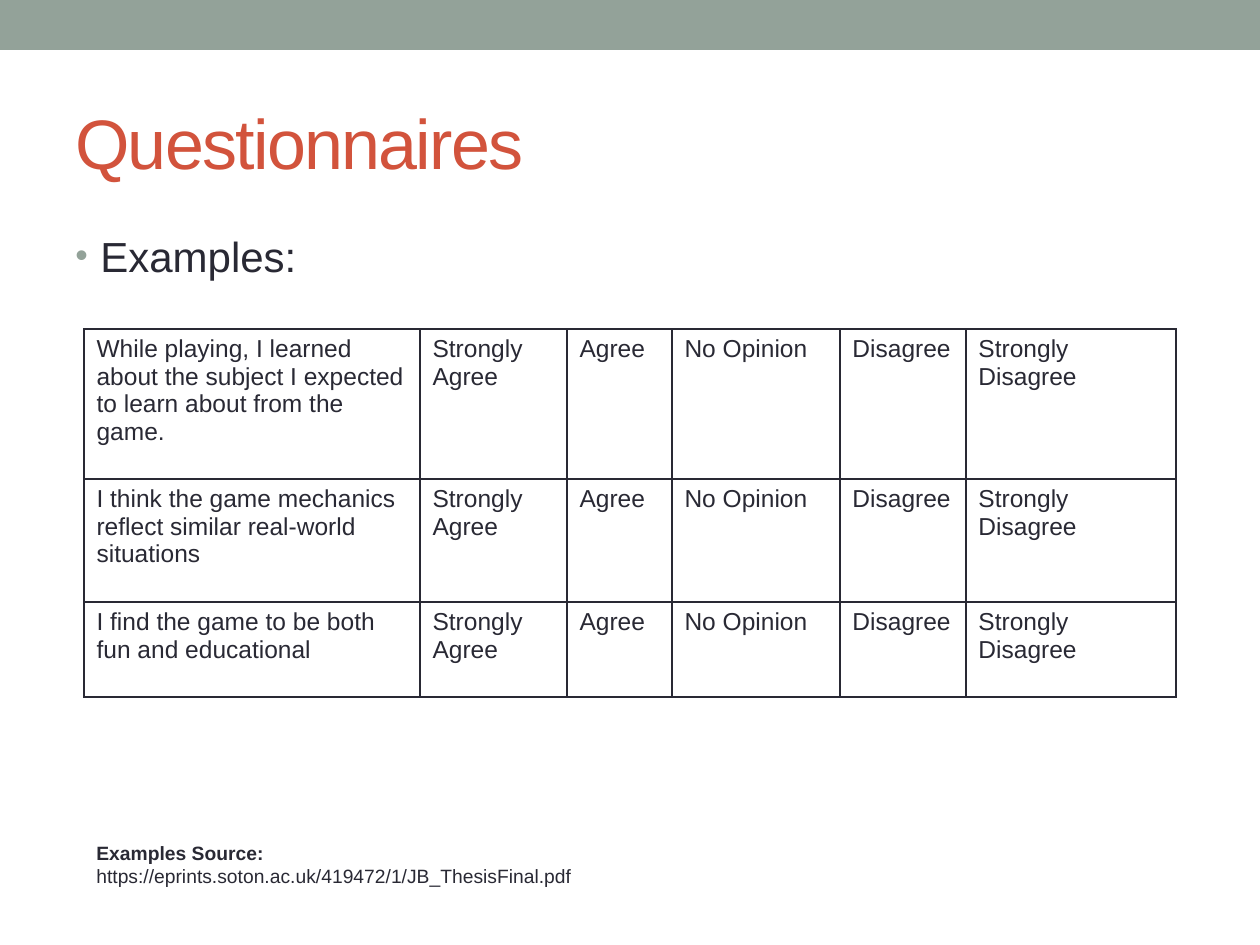
"""Build the Questionnaires slide with its table of example statements."""
from typing import NamedTuple

from lxml import etree
from pptx import Presentation
from pptx import util as u
from pptx.dml.color import RGBColor
from pptx.enum import shapes, text
from pptx.oxml import ns

EMU_PER_PX = 914400 / 126
FONT = "Arial"
SAGE = RGBColor(0x93, 0xA2, 0x99)
RUST = RGBColor(0xD2, 0x53, 0x3C)
INK = RGBColor(0x29, 0x29, 0x34)
WHITE = RGBColor(0xFF, 0xFF, 0xFF)

ANSWERS = ("Strongly Agree", "Agree", "No Opinion", "Disagree", "Strongly Disagree")
COLUMN_WIDTHS = (336, 147, 105, 168, 126, 210)


class Area(NamedTuple):
    left: int
    top: int
    width: int
    height: int


class Statement(NamedTuple):
    wording: str
    height: int


STATEMENTS = (
    Statement("While playing, I learned about the subject I expected to learn "
              "about from the game.", 150),
    Statement("I think the game mechanics reflect similar real-world situations", 123),
    Statement("I find the game to be both fun and educational", 95),
)


def px(length: int) -> int:
    return u.Emu(round(length * EMU_PER_PX))


def place(area: Area) -> list[int]:
    return [px(length) for length in area]


def style(para, size: int, color: RGBColor, bold: bool = False) -> None:
    for span in para.runs:
        span.font.name = FONT
        span.font.size = u.Pt(size)
        span.font.color.rgb = color
        span.font.bold = bold


def add_text(page, area: Area, wording: str, size: int, color: RGBColor):
    box = page.shapes.add_textbox(*place(area))
    frame = box.text_frame
    frame.word_wrap = True
    frame.text = wording
    for para in frame.paragraphs:
        style(para, size, color)
    return frame


def add_bullet(para, indent: int) -> None:
    properties = para._p.get_or_add_pPr()
    properties.set("marL", str(px(indent)))
    properties.set("indent", str(-px(indent)))
    color = etree.SubElement(properties, ns.qn("a:buClr"))
    etree.SubElement(color, ns.qn("a:srgbClr"), val=str(SAGE))
    etree.SubElement(properties, ns.qn("a:buSzPct"), val="85000")
    etree.SubElement(properties, ns.qn("a:buFont"), typeface=FONT)
    etree.SubElement(properties, ns.qn("a:buChar"), char="•")


def add_borders(cell) -> None:
    properties = cell._tc.get_or_add_tcPr()
    for position, side in enumerate(("lnL", "lnR", "lnT", "lnB")):
        line = etree.Element(ns.qn(f"a:{side}"), w=str(u.Pt(1)))
        fill = etree.SubElement(line, ns.qn("a:solidFill"))
        etree.SubElement(fill, ns.qn("a:srgbClr"), val=str(INK))
        properties.insert(position, line)


def add_survey(page, left: int, top: int) -> None:
    height = sum(statement.height for statement in STATEMENTS)
    area = Area(left, top, sum(COLUMN_WIDTHS), height)
    table = page.shapes.add_table(
        len(STATEMENTS), len(COLUMN_WIDTHS), *place(area)).table
    table.first_row = table.horz_banding = False
    for column, width in zip(table.columns, COLUMN_WIDTHS):
        column.width = px(width)
    for row, statement in zip(table.rows, STATEMENTS):
        row.height = px(statement.height)
        for cell, wording in zip(row.cells, (statement.wording, *ANSWERS)):
            cell.text = wording
            style(cell.text_frame.paragraphs[0], 14, INK)
            cell.fill.solid()
            cell.fill.fore_color.rgb = WHITE
            add_borders(cell)


def main() -> None:
    deck = Presentation()
    deck.slide_width, deck.slide_height = px(1260), px(945)
    page = deck.slides.add_slide(deck.slide_layouts[6])

    band = page.shapes.add_shape(
        shapes.MSO_SHAPE.RECTANGLE, *place(Area(0, 0, 1260, 50)))
    band.shadow.inherit = False
    band.fill.solid()
    band.fill.fore_color.rgb = SAGE
    band.line.fill.background()

    title = add_text(page, Area(63, 73, 1134, 136), "Questionnaires", 40, RUST)
    title.vertical_anchor = text.MSO_ANCHOR.MIDDLE
    title.paragraphs[0].runs[0].font._element.set("spc", "-100")

    body = add_text(page, Area(63, 220, 1134, 672), "Examples:", 24, INK)
    body.margin_top = px(10)
    add_bullet(body.paragraphs[0], 25)

    add_survey(page, 84, 329)

    source = add_text(
        page, Area(84, 835, 892, 59),
        "Examples Source:\nhttps://eprints.soton.ac.uk/419472/1/JB_ThesisFinal.pdf",
        11, INK)
    style(source.paragraphs[0], 11, INK, bold=True)

    deck.save("out.pptx")


if __name__ == "__main__":
    main()
